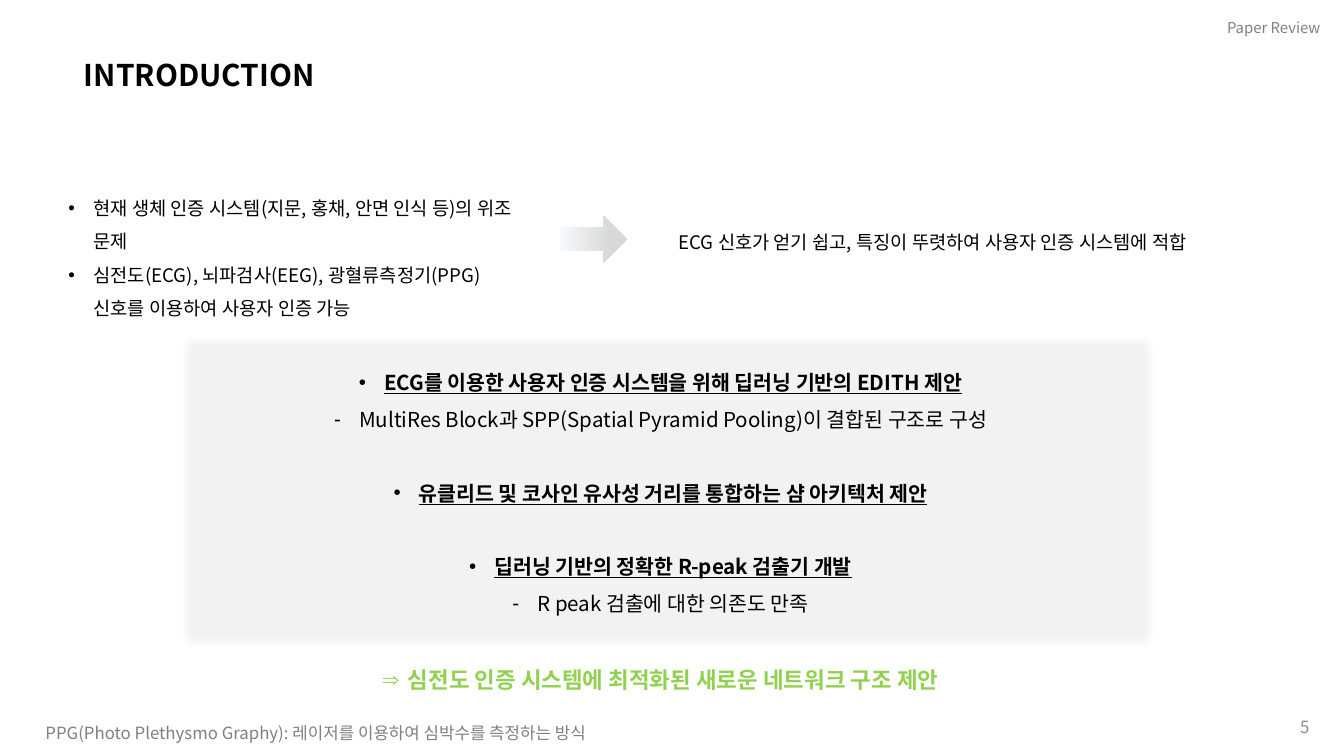
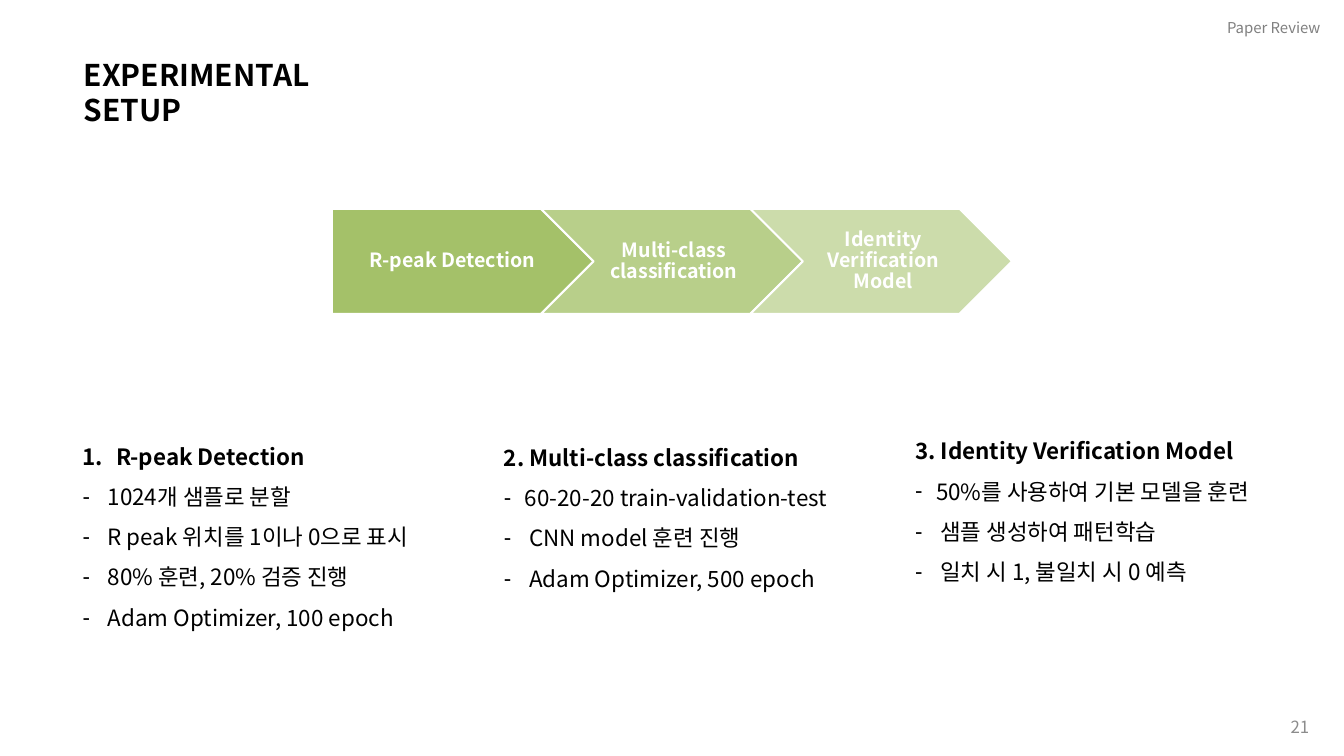
from lxml import etree
from pptx import Presentation
from pptx import util as u
from pptx.dml.color import RGBColor
from pptx.enum import shapes, text
from pptx.oxml.ns import qn

FONT = "Noto Sans CJK KR"
BLACK, WHITE, GREY, PAGE_GREY = "000000", "FFFFFF", "808080", "8C8C8C"
PANEL, LIME, OLIVE = "F2F2F2", "92D050", "9BBB59"
ARROW_FADE = ("F6F9FC", "D9D9D9")
INDENT, TIGHT, NUMBERED = 0.95, 0.79, 1.27

PROBLEMS = [
    "현재 생체 인증 시스템(지문, 홍채, 안면 인식 등)의 위조 문제",
    "심전도(ECG), 뇌파검사(EEG), 광혈류측정기(PPG) 신호를 이용하여 사용자 인증 가능",
]
REASON = "ECG 신호가 얻기 쉽고, 특징이 뚜렷하여 사용자 인증 시스템에 적합"
PROPOSALS = [
    ("ECG를 이용한 사용자 인증 시스템을 위해 딥러닝 기반의 EDITH 제안",
     "MultiRes Block과 SPP(Spatial Pyramid Pooling)이 결합된 구조로 구성"),
    ("유클리드 및 코사인 유사성 거리를 통합하는 샴 아키텍처 제안", None),
    ("딥러닝 기반의 정확한 R-peak 검출기 개발", "R peak 검출에 대한 의존도 만족"),
]
CONCLUSION = "심전도 인증 시스템에 최적화된 새로운 네트워크 구조 제안"
FOOTNOTE = "PPG(Photo Plethysmo Graphy): 레이저를 이용하여 심박수를 측정하는 방식"

STAGES = [("R-peak Detection", 90), ("Multi-class classification", 70),
          ("Identity Verification Model", 50)]
COLUMNS = [
    (2.87, 16.1, "R-peak Detection", "1.", INDENT,
     ["1024개 샘플로 분할", "R peak 위치를 1이나 0으로 표시",
      "80% 훈련, 20% 검증 진행", "Adam Optimizer, 100 epoch"]),
    (18.8, 16.15, "2. Multi-class classification", None, TIGHT,
     ["60-20-20 train-validation-test", "CNN model 훈련 진행",
      "Adam Optimizer, 500 epoch"]),
    (34.34, 15.9, "3. Identity Verification Model", None, TIGHT,
     ["50%를 사용하여 기본 모델을 훈련", "샘플 생성하여 패턴학습",
      "일치 시 1, 불일치 시 0 예측"]),
]


def rgb(value):
    return RGBColor.from_string(value)


def place(left, top, width, height):
    return [u.Cm(length) for length in (left, top, width, height)]


def line(words, size, color=BLACK, **style):
    return dict(words=words, size=size, color=color, **style)


def set_bullet(para, bullet, indent):
    props = para._p.get_or_add_pPr()
    props.set("marL", str(u.Cm(indent)))
    props.set("indent", str(-u.Cm(indent)))
    if bullet == "1.":
        etree.SubElement(props, qn("a:buAutoNum"), type="arabicPeriod")
    else:
        etree.SubElement(props, qn("a:buFont"), typeface="Arial")
        etree.SubElement(props, qn("a:buChar"), char=bullet)


def write(frame, lines, align=text.PP_ALIGN.LEFT, spacing=1.0):
    frame.word_wrap = True
    for index, item in enumerate(lines):
        para = frame.add_paragraph() if index else frame.paragraphs[0]
        para.text = item["words"]
        para.alignment = align
        para.line_spacing = spacing
        if index and item.get("gap"):
            para.space_before = u.Pt(item["gap"])
        if item.get("bullet"):
            set_bullet(para, item["bullet"], item.get("indent", INDENT))
        for span in para.runs:
            font = span.font
            font.name, font.size = FONT, u.Pt(item["size"])
            font.bold = item.get("bold", False)
            font.underline = item.get("underline", False)
            font.color.rgb = rgb(item["color"])
            latin = font._rPr.find(qn("a:latin"))
            latin.addnext(etree.Element(qn("a:ea"), typeface=FONT))


def add_text(page, area, lines, **layout):
    box = page.shapes.add_textbox(*place(*area))
    write(box.text_frame, lines, **layout)
    return box


def add_shape(page, kind, area):
    shape = page.shapes.add_shape(kind, *place(*area))
    shape.shadow.inherit = False
    shape.line.fill.background()
    return shape


def fill_solid(shape, color):
    shape.fill.solid()
    shape.fill.fore_color.rgb = rgb(color)


def add_page(deck, title, number):
    page = deck.slides.add_slide(deck.slide_layouts[6])
    add_text(page, (2.92, 2, 12.5, 1.63), [line(title, 32, bold=True)])
    box = add_text(page, (43.82, 26.97, 5.92, 1.02), [line(number, 18, PAGE_GREY)],
                   align=text.PP_ALIGN.RIGHT)
    box.text_frame.vertical_anchor = text.MSO_ANCHOR.MIDDLE
    add_text(page, (46.13, 0.58, 4.88, 0.94), [line("Paper Review", 16, GREY)])
    return page


def add_introduction(deck):
    page = add_page(deck, "INTRODUCTION", "5")
    panel = add_shape(page, shapes.MSO_SHAPE.RECTANGLE, (6.68, 12.5, 37.13, 12.17))
    fill_solid(panel, PANEL)
    effects = panel._element.spPr.find(qn("a:effectLst"))
    etree.SubElement(effects, qn("a:softEdge"), rad=str(u.Cm(0.35)))

    lines = []
    for heading, detail in PROPOSALS:
        lines.append(line(heading, 22, bold=True, underline=True, bullet="•", gap=39.5))
        if detail:
            lines.append(line(detail, 22, bullet="-"))
    lines.append(line(CONCLUSION, 24, LIME, bold=True, bullet="⇒", gap=39.5))
    add_text(page, (8.25, 13.39, 33.43, 13), lines,
             align=text.PP_ALIGN.CENTER, spacing=1.5)

    add_text(page, (2.34, 6.88, 17.78, 5.23),
             [line(words, 20, bullet="•") for words in PROBLEMS], spacing=1.5)
    add_text(page, (25.4, 8.18, 22.66, 1.37), [line(REASON, 20)], spacing=1.5)

    arrow = add_shape(page, shapes.MSO_SHAPE.RIGHT_ARROW, (21.16, 8.15, 2.54, 1.78))
    arrow.fill.gradient()
    arrow.fill.gradient_angle = 0
    for stop, color, position in zip(arrow.fill.gradient_stops, ARROW_FADE, (0, 0.74)):
        stop.color.rgb = rgb(color)
        stop.position = position
    add_text(page, (1.47, 27.2, 22.15, 1.02), [line(FOOTNOTE, 18, GREY)])


def add_setup(deck):
    page = add_page(deck, "EXPERIMENTAL SETUP", "21")
    for index, (name, opacity) in enumerate(STAGES):
        kind = shapes.MSO_SHAPE.CHEVRON if index else shapes.MSO_SHAPE.PENTAGON
        stage = add_shape(page, kind, (12.55 + 7.91 * index, 7.9, 9.88, 3.96))
        fill_solid(stage, OLIVE)
        color = stage._element.spPr.find(qn("a:solidFill"))[0]
        etree.SubElement(color, qn("a:alpha"), val=str(opacity * 1000))
        stage.line.color.rgb = rgb(WHITE)
        stage.line.width = u.Pt(2)
        frame = stage.text_frame
        frame.margin_left, frame.margin_right = u.Cm(0.23 if index else 0.3), u.Cm(0.08)
        frame.vertical_anchor = text.MSO_ANCHOR.MIDDLE
        write(frame, [line(name, 21, WHITE, bold=True)],
              align=text.PP_ALIGN.CENTER, spacing=0.9)

    for left, top, heading, number, first_indent, details in COLUMNS:
        lines = [line(heading, 24, bold=True, bullet=number, indent=NUMBERED)]
        for index, words in enumerate(details):
            indent = INDENT if index else first_indent
            lines.append(line(words, 24, bullet="-", indent=indent))
        add_text(page, (left, top, 15.37, 1.5 * len(lines)), lines, spacing=1.5)


def main():
    deck = Presentation()
    deck.slide_width, deck.slide_height = u.Cm(50.8), u.Cm(28.58)
    add_introduction(deck)
    add_setup(deck)
    deck.save("out.pptx")


if __name__ == "__main__":
    main()
